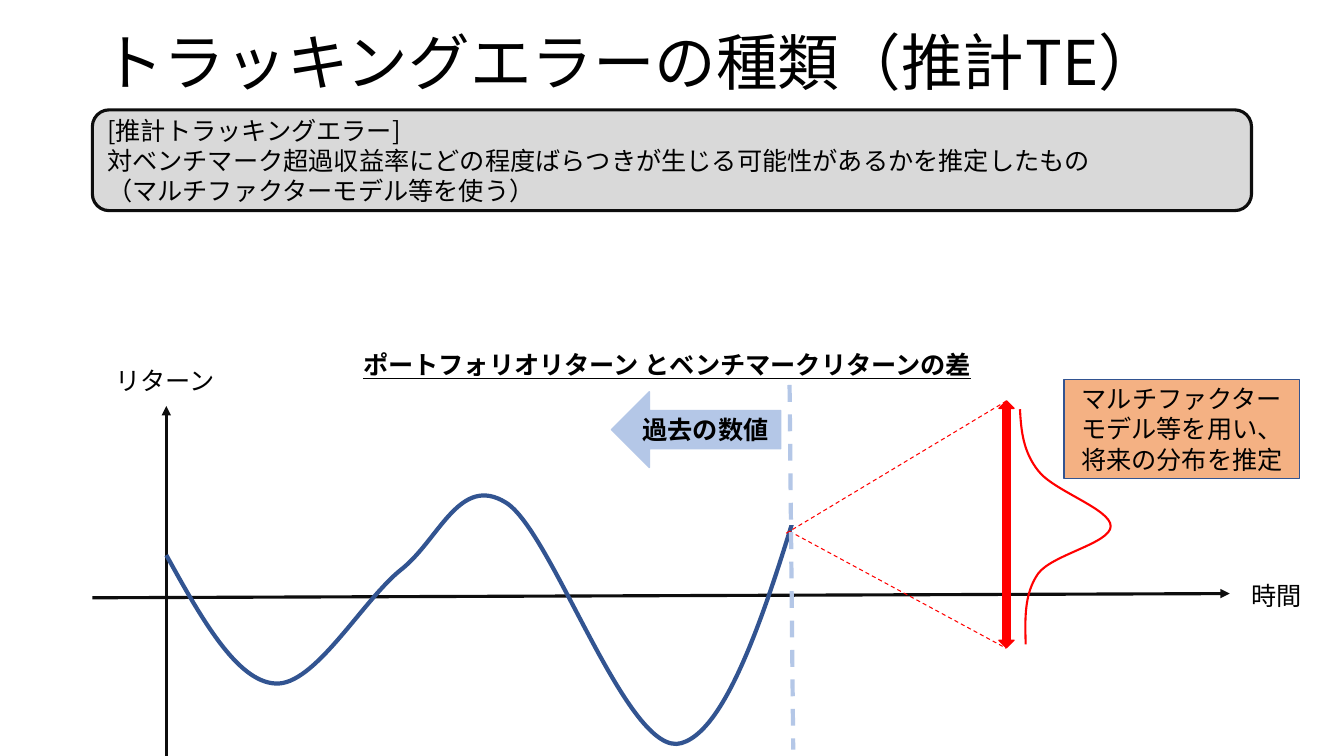
from dataclasses import dataclass

from lxml.etree import SubElement
from pptx import Presentation
from pptx.dml.color import RGBColor
from pptx.enum.dml import MSO_LINE
from pptx.enum.shapes import MSO_CONNECTOR, MSO_SHAPE
from pptx.enum.text import MSO_ANCHOR, MSO_AUTO_SIZE, PP_ALIGN
from pptx.oxml.ns import qn
from pptx.util import Pt


@dataclass(frozen=True)
class Theme:
    font: str = "Noto Sans CJK JP"
    title_size: int = 44
    body_size: int = 18
    text: str = "000000"
    ink: str = "0D0D0D"
    white: str = "FFFFFF"
    panel: str = "D9D9D9"
    curve: str = "325491"
    past: str = "B4C7E7"
    forecast: str = "FF0000"
    note: str = "F4B183"


THEME = Theme()


@dataclass(frozen=True)
class Box:
    left: float
    top: float
    width: float
    height: float

    def inner(self, left, top, width, height):
        return Box(self.left + left, self.top + top, width, height)

    def point(self, x, y):
        return Pt(self.left + x), Pt(self.top + y)

    def frame(self):
        return Pt(self.left), Pt(self.top), Pt(self.width), Pt(self.height)


def write(shape, lines, size=THEME.body_size, align=PP_ALIGN.LEFT, bold=False):
    frame = shape.text_frame
    frame.text = "\n".join(lines)
    for para in frame.paragraphs:
        para.alignment = align
        font = para.font
        font.size = Pt(size)
        font.bold = bold
        font.color.rgb = RGBColor.from_string(THEME.text)
        font.name = THEME.font
        defaults = para._p.pPr.find(qn("a:defRPr"))
        SubElement(defaults, qn("a:ea"), typeface=THEME.font)
    return frame


def add_label(page, box, text, wrap=False, **style):
    label = page.shapes.add_textbox(*box.frame())
    frame = write(label, [text], **style)
    frame.word_wrap = wrap
    frame.auto_size = MSO_AUTO_SIZE.SHAPE_TO_FIT_TEXT
    return frame


def style_line(line, color, weight, dash=None):
    line.color.rgb = RGBColor.from_string(color)
    line.width = Pt(weight)
    if dash:
        line.dash_style = dash


def add_block(page, kind, box, fill, outline, weight=1):
    block = page.shapes.add_shape(kind, *box.frame())
    block.shadow.inherit = False
    block.fill.solid()
    block.fill.fore_color.rgb = RGBColor.from_string(fill)
    style_line(block.line, outline, weight)
    block.text_frame.word_wrap = True
    block.text_frame.vertical_anchor = MSO_ANCHOR.MIDDLE
    return block


def add_line(page, box, start, end, color, weight, dash=None, arrow=False):
    line = page.shapes.add_connector(
        MSO_CONNECTOR.STRAIGHT, *box.point(*start), *box.point(*end))
    style_line(line.line, color, weight, dash)
    if arrow:
        SubElement(line.line._get_or_add_ln(), qn("a:tailEnd"), type="triangle")
    SubElement(line._element.spPr, qn("a:effectLst"))


def add_curve(page, box, knots, color, weight):
    """Draw a chain of cubic curves: a start, then three points per curve."""
    points = [box.point(x, y) for x, y in knots]
    builder = page.shapes.build_freeform(*points[0])
    builder.add_line_segments(points[3::3], close=False)
    curve = builder.convert_to_shape()
    segments = list(curve._element.iter(qn("a:lnTo")))
    for index, segment in enumerate(segments):
        cubic = SubElement(segment.getparent(), qn("a:cubicBezTo"))
        for x, y in points[3 * index + 1:3 * index + 4]:
            SubElement(cubic, qn("a:pt"), x=str(x - curve.left), y=str(y - curve.top))
        segment.getparent().remove(segment)
    curve.shadow.inherit = False
    curve.fill.background()
    style_line(curve.line, color, weight)


def add_title(page, box):
    frame = write(page.shapes.add_textbox(*box.frame()),
                  ["トラッキングエラーの種類（推計TE）"], THEME.title_size)
    frame.word_wrap = True
    frame.vertical_anchor = MSO_ANCHOR.MIDDLE
    frame.paragraphs[0].line_spacing = 0.9


def add_definition(page, box):
    panel = add_block(page, MSO_SHAPE.ROUNDED_RECTANGLE, box,
                      THEME.panel, THEME.ink, 2.25)
    write(panel, ["[推計トラッキングエラー]",
                  "対ベンチマーク超過収益率にどの程度ばらつきが生じる可能性があるかを推定したもの",
                  "（マルチファクターモデル等を使う）"])


def add_history(page, box):
    """Axes, labels and the past return curve."""
    for start, end in (((52.8, 308), (52.8, 50)), ((0, 187), (812.4, 184))):
        add_line(page, box, start, end, THEME.ink, 2.25, arrow=True)
    add_label(page, box.inner(820.6, 171.1, 51.1, 28.8), "時間")
    add_label(page, box.inner(9.4, 17.4, 87.1, 28.8), "リターン")
    add_curve(page, box, [
        (52.8, 156.5),
        (78, 202.1), (103.2, 246.7), (130.6, 248.2),
        (158.6, 250.3), (193.2, 188.4), (220.6, 166.8),
        (247.9, 145.2), (262.3, 98.4), (295.4, 119),
        (328.6, 139.4), (382.6, 302.2), (420.7, 290.8),
        (458.9, 279.8), (491.3, 164.6), (524.4, 50)], THEME.curve, 3)
    caption = add_label(page, box.inner(186.3, 5.9, 460.8, 28.8),
                        "ポートフォリオリターン とベンチマークリターンの差",
                        wrap=True, bold=True)
    caption.paragraphs[0].font.underline = True


def add_forecast(page, box):
    """Forecast range and distribution to the right of the present."""
    add_block(page, MSO_SHAPE.RECTANGLE, box.inner(457.4, 33.3, 134.6, 101.5),
              THEME.white, THEME.white)
    for start, end in (((495.6, 140.9), (652.6, 46.6)), ((497.8, 139.4), (652.6, 223))):
        add_line(page, box, start, end, THEME.forecast, 0.75, MSO_LINE.DASH)
    spread = add_block(page, MSO_SHAPE.LEFT_RIGHT_ARROW,
                       box.inner(564.7, 129.1, 176.4, 10.8),
                       THEME.forecast, THEME.forecast)
    spread.rotation = 90
    add_curve(page, box, [
        (662.6, 52.3),
        (663.4, 67.4), (664.8, 82.6), (675.6, 96.2),
        (686.4, 110.6), (727.4, 123.6), (727.4, 135.8),
        (727.4, 148.1), (685.7, 156), (675.6, 169.7),
        (665.5, 184.1), (666.2, 202.1), (666.7, 220.3)], THEME.forecast, 1.5)
    add_line(page, box, (498, 35), (500.6, 295.5), THEME.past, 3, MSO_LINE.DASH)
    past = add_block(page, MSO_SHAPE.LEFT_ARROW, box.inner(370.7, 39.8, 121, 54.2),
                     THEME.past, THEME.past)
    write(past, ["過去の数値"], align=PP_ALIGN.CENTER, bold=True)
    note = add_block(page, MSO_SHAPE.RECTANGLE, box.inner(694, 31, 168.5, 70.6),
                     THEME.note, THEME.curve)
    write(note, ["マルチファクターモデル等を用い、将来の分布を推定"], align=PP_ALIGN.CENTER)


def main():
    deck = Presentation()
    deck.slide_width, deck.slide_height = Pt(960), Pt(540)
    page = deck.slides.add_slide(deck.slide_layouts[6])
    add_title(page, Box(66, 15, 828, 63.5))
    add_definition(page, Box(66, 78.5, 828, 72))
    graph = Box(66, 240, 872, 308)
    add_history(page, graph)
    add_forecast(page, graph)
    deck.save("out.pptx")


if __name__ == "__main__":
    main()
